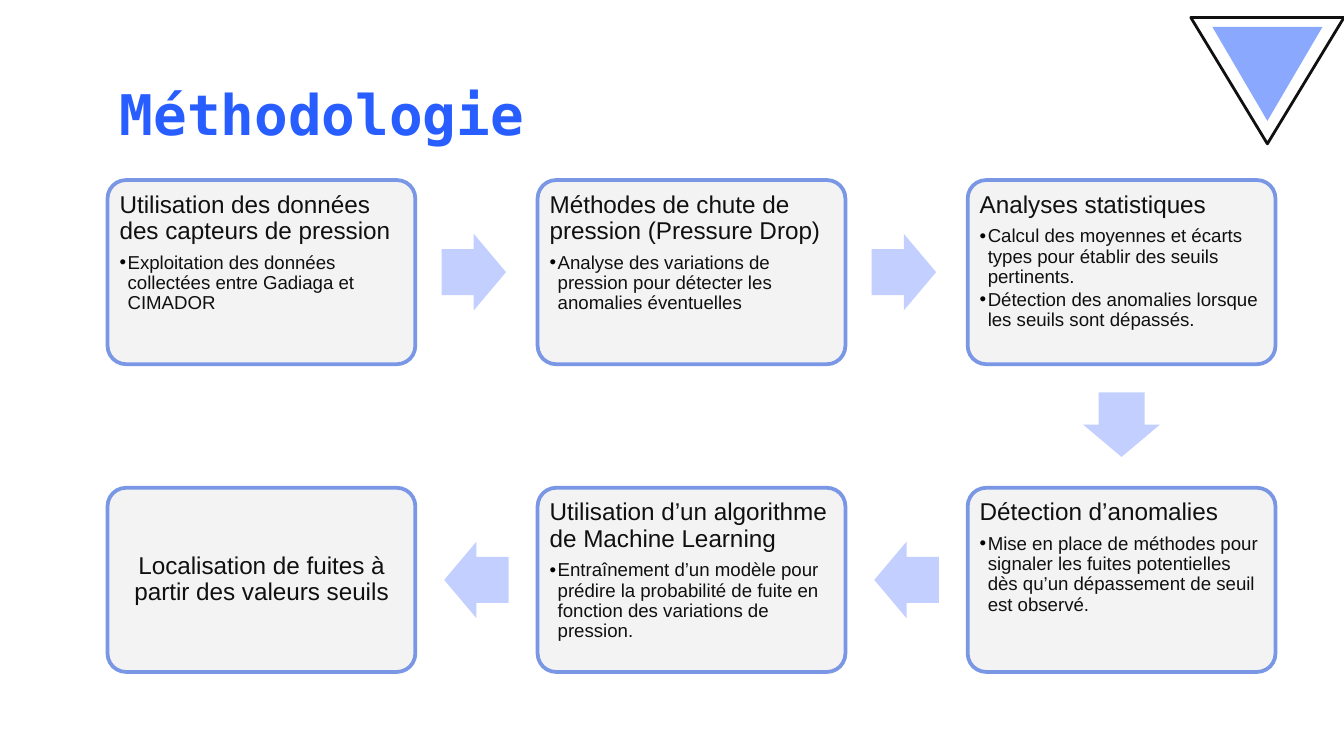
"""Build the methodology slide: six linked steps on a grid of three columns and two rows."""
from lxml import etree
from pptx import Presentation
from pptx import util as u
from pptx.dml.color import RGBColor
from pptx.enum import shapes, text
from pptx.oxml import ns

BLUE = RGBColor(0x28, 0x5E, 0xFF)
INK = RGBColor(0x11, 0x10, 0x10)
CARD = RGBColor(0xF3, 0xF3, 0xF3)
EDGE = RGBColor(0x7A, 0x97, 0xE6)
ARROW = RGBColor(0xC3, 0xD0, 0xFF)
ACCENT = RGBColor(0x8B, 0xA8, 0xFF)

SLIDE_W = 10
SLIDE_H = SLIDE_W * 9 / 16
LEFT, TOP = 0.8, 1.34
COLUMN, ROW = 3.2, 2.29
CARD_W, CARD_H = 2.29, 1.37
ARROW_W, ARROW_H = 0.48, 0.57

STEPS = [
    (0, 0, 0, "Utilisation des données des capteurs de pression",
     ["Exploitation des données collectées entre Gadiaga et CIMADOR"]),
    (1, 0, 0, "Méthodes de chute de pression (Pressure Drop)",
     ["Analyse des variations de pression pour détecter les anomalies éventuelles"]),
    (2, 0, 90, "Analyses statistiques",
     ["Calcul des moyennes et écarts types pour établir des seuils pertinents.",
      "Détection des anomalies lorsque les seuils sont dépassés."]),
    (2, 1, 180, "Détection d’anomalies",
     ["Mise en place de méthodes pour signaler les fuites potentielles "
      "dès qu’un dépassement de seuil est observé."]),
    (1, 1, 180, "Utilisation d’un algorithme de Machine Learning",
     ["Entraînement d’un modèle pour prédire la probabilité de fuite "
      "en fonction des variations de pression."]),
    (0, 1, None, "Localisation de fuites à partir des valeurs seuils", []),
]
ARROW_SHIFT = {0: (COLUMN / 2 - 0.02, 0), 90: (0, ROW / 2 - 0.01), 180: (-COLUMN / 2, 0)}


def apply(target, values):
    for name, value in values.items():
        setattr(target, name, value)


def add_preset(kind, left, top, width, height, fill=None, edge=None, weight=0):
    preset = slide.shapes.add_shape(kind, *map(u.Inches, (left, top, width, height)))
    preset.shadow.inherit = False
    for part, color in ((preset.fill, fill), (preset.line.fill, edge)):
        if color is None:
            part.background()
        else:
            part.solid()
            part.fore_color.rgb = color
    if edge is not None:
        preset.line.width = u.Pt(weight)
    return preset


prs = Presentation()
apply(prs, {"slide_width": u.Inches(SLIDE_W), "slide_height": u.Inches(SLIDE_H)})
slide = prs.slides.add_slide(prs.slide_layouts[5])

heading = slide.shapes.title
apply(heading, {"left": u.Inches(0.79), "top": u.Inches(0.49),
                "width": u.Inches(8.43), "height": u.Inches(0.63)})
frame = heading.text_frame
frame.text = "Méthodologie"
apply(frame, {"auto_size": text.MSO_AUTO_SIZE.NONE, "word_wrap": True,
              "vertical_anchor": text.MSO_ANCHOR.TOP,
              **{f"margin_{side}": u.Inches(0.1) for side in ("left", "right", "top", "bottom")}})
frame.paragraphs[0].alignment = text.PP_ALIGN.LEFT
heading_font = frame.paragraphs[0].runs[0].font
apply(heading_font, {"name": "DejaVu Sans Mono", "size": u.Pt(30), "bold": True})
heading_font.color.rgb = BLUE

for column, row, turn, step, details in STEPS:
    left, top = LEFT + column * COLUMN, TOP + row * ROW
    card = add_preset(shapes.MSO_SHAPE.ROUNDED_RECTANGLE, left, top, CARD_W, CARD_H, CARD, EDGE, 2)
    card.adjustments[0] = 0.1
    frame = card.text_frame
    apply(frame, {"word_wrap": True,
                  "vertical_anchor": text.MSO_ANCHOR.TOP if details else text.MSO_ANCHOR.MIDDLE,
                  **{f"margin_{side}": u.Inches(0.05) for side in ("left", "right", "top", "bottom")}})
    for index, wording in enumerate([step, *details]):
        paragraph = frame.add_paragraph() if index else frame.paragraphs[0]
        apply(paragraph, {"line_spacing": 0.9,
                          "alignment": text.PP_ALIGN.LEFT if details else text.PP_ALIGN.CENTER})
        if index:
            apply(paragraph, {"level": 1, "space_before": u.Pt(4.5 if index == 1 else 1.5)})
            properties = paragraph._p.get_or_add_pPr()
            properties.set("marL", str(u.Inches(0.06)))
            properties.set("indent", str(u.Inches(-0.07)))
            bullet_color = etree.SubElement(properties, ns.qn("a:buClr"))
            etree.SubElement(bullet_color, ns.qn("a:srgbClr"), val="000000")
            etree.SubElement(properties, ns.qn("a:buFont"), typeface="Arial")
            etree.SubElement(properties, ns.qn("a:buChar"), char="•")
        run = paragraph.add_run()
        run.text = wording
        apply(run.font, {"name": "Arial", "size": u.Pt(10 if index else 13)})
        run.font.color.rgb = INK
    if turn is not None:
        across, down = ARROW_SHIFT[turn]
        arrow = add_preset(shapes.MSO_SHAPE.RIGHT_ARROW,
                           left + (CARD_W - ARROW_W) / 2 + across,
                           top + (CARD_H - ARROW_H) / 2 + down, ARROW_W, ARROW_H, ARROW)
        arrow.rotation = turn
        arrow.adjustments[0], arrow.adjustments[1] = 0.6, 0.5

outline = slide.shapes.build_freeform(u.Inches(9.02), u.Inches(0.2))
outline.add_line_segments([(u.Inches(9.43), u.Inches(0.9)), (u.Inches(9.84), u.Inches(0.2))])
corner = outline.convert_to_shape()
corner.shadow.inherit = False
corner.fill.solid()
corner.fill.fore_color.rgb = ACCENT
corner.line.fill.background()
corner_frame = add_preset(shapes.MSO_SHAPE.ISOSCELES_TRIANGLE, 8.86, 0.13, 1.14, 0.94,
                          edge=INK, weight=1.5)
corner_frame.rotation = 180

prs.save("out.pptx")
